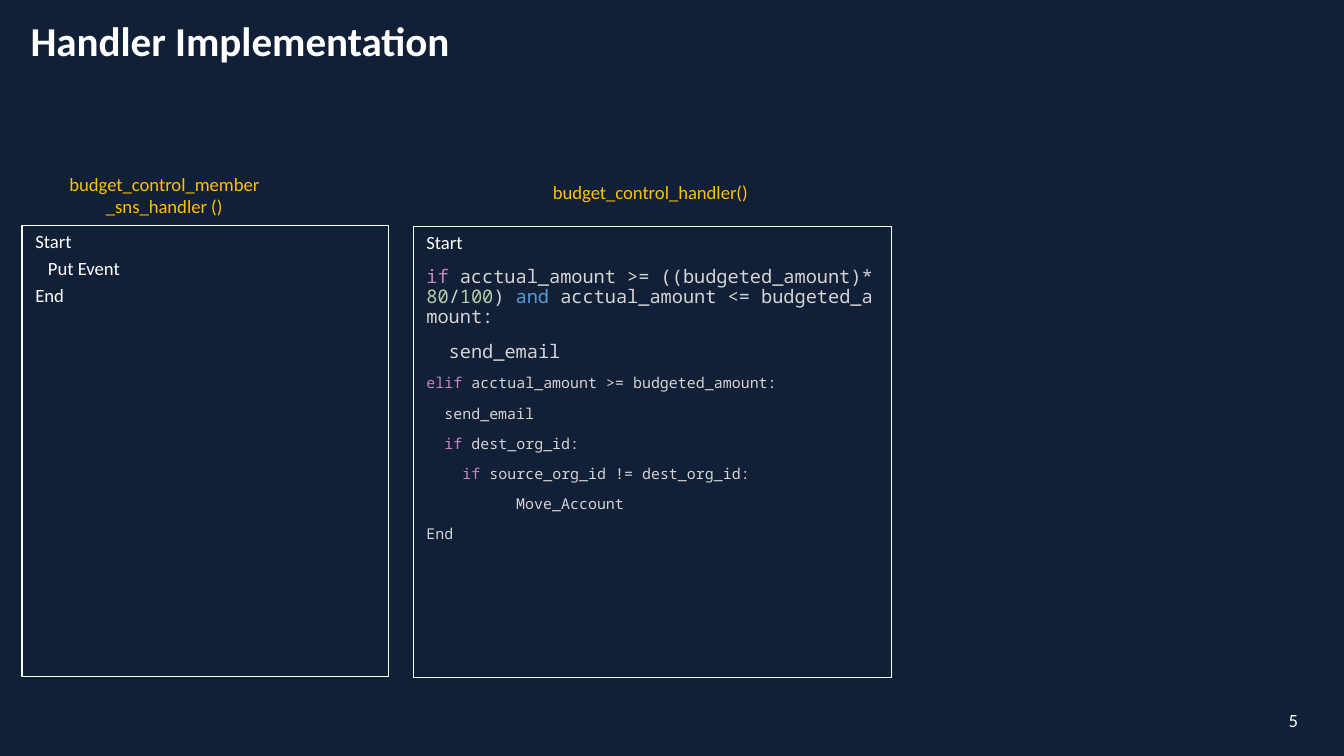
"""Build the Handler Implementation slide with two handler listings."""
from pptx import Presentation
from pptx.dml.color import RGBColor
from pptx.enum.shapes import MSO_SHAPE
from pptx.enum.text import MSO_ANCHOR, PP_ALIGN
from pptx.util import Cm, Pt

SANS, MONO = "Calibri", "Noto Sans Mono"
NAVY, WHITE, GOLD = "111F37", "FFFFFF", "FFC000"
GREY, PINK, GREEN, BLUE = "D4D4D4", "C586C0", "B5CEA8", "569CD6"


def tint(code):
    return RGBColor.from_string(code)


def write(para, words, size, color, face=SANS, bold=False):
    run = para.add_run()
    run.text = words
    font = run.font
    font.name, font.size, font.bold = face, Pt(size), bold
    font.color.rgb = tint(color)


deck = Presentation()
deck.slide_width, deck.slide_height = Cm(25.4), Cm(14.29)
slide = deck.slides.add_slide(deck.slide_layouts[6])
shapes = slide.shapes
back = slide.background.fill
back.solid()
back.fore_color.rgb = tint(NAVY)

for top, high in [(0, 1.83), (1.83, 12.46)]:
    band = shapes.add_shape(MSO_SHAPE.RECTANGLE, 0, Cm(top), Cm(25.4), Cm(high))
    band.shadow.inherit = False
    band.fill.solid()
    band.fill.fore_color.rgb = tint(NAVY)
    band.line.fill.background()

labels = [
    ("Handler Implementation", (0, -0.1, 25.4, 1.83), 22, WHITE, PP_ALIGN.LEFT, MSO_ANCHOR.MIDDLE),
    ("5", (19.06, 13.24, 5.72, 0.76), 10, WHITE, PP_ALIGN.RIGHT, MSO_ANCHOR.MIDDLE),
    ("budget_control_member_sns_handler ()", (1.01, 3.14, 4.19, 1.12), 10, GOLD, PP_ALIGN.CENTER, MSO_ANCHOR.TOP),
    ("budget_control_handler()", (9.94, 3.29, 4.7, 0.69), 10, GOLD, PP_ALIGN.CENTER, MSO_ANCHOR.TOP),
]
for words, place, size, color, align, anchor in labels:
    frame = shapes.add_textbox(*map(Cm, place)).text_frame
    frame.word_wrap = True
    frame.vertical_anchor = anchor
    para = frame.paragraphs[0]
    para.alignment = align
    if size == 22:
        frame.margin_left = Cm(0.58)
        para.line_spacing = 0.9
    write(para, words, size, color, bold=size == 22)

member = [(SANS, 10, 3.8, [(words, WHITE)]) for words in ("Start", "   Put Event", "End")]
budget = [
    member[0],
    (MONO, 10, 7.5, [
        ("if ", PINK), ("acctual_amount >= ((budgeted_amount)*", GREY),
        ("80", GREEN), ("/", GREY), ("100", GREEN), (") ", GREY),
        ("and ", BLUE), ("acctual_amount <= budgeted_amount:", GREY),
    ]),
    (MONO, 10, 7.5, [("  send_email", GREY)]),
    (MONO, 8, 7.5, [("elif ", PINK), ("acctual_amount >= budgeted_amount:", GREY)]),
    (MONO, 8, 7.5, [("  send_email", GREY)]),
    (MONO, 8, 7.5, [("  if ", PINK), ("dest_org_id:", GREY)]),
    (MONO, 8, 7.5, [("    if ", PINK), ("source_org_id != dest_org_id:", GREY)]),
    (MONO, 8, 7.5, [("          Move_Account", GREY)]),
    (MONO, 8, 7.5, [("End", GREY)]),
]
hard = chr(160)
for place, rows in [((0.42, 4.26, 6.93, 8.53), member), ((7.81, 4.28, 9.04, 8.53), budget)]:
    box = shapes.add_shape(MSO_SHAPE.RECTANGLE, *map(Cm, place))
    box.shadow.inherit = False
    box.fill.background()
    box.line.color.rgb = tint(WHITE)
    box.line.width = Pt(0.75)
    frame = box.text_frame
    frame.word_wrap = True
    frame.vertical_anchor = MSO_ANCHOR.TOP
    for order, (face, size, gap, runs) in enumerate(rows):
        para = frame.add_paragraph() if order else frame.paragraphs[0]
        para.alignment = PP_ALIGN.LEFT
        para.line_spacing = 0.9
        para.space_before = Pt(gap if order else 0)
        for words, color in runs:
            if face == MONO:
                words = words.replace(" ", hard)
            write(para, words, size, color, face)

deck.save("out.pptx")
